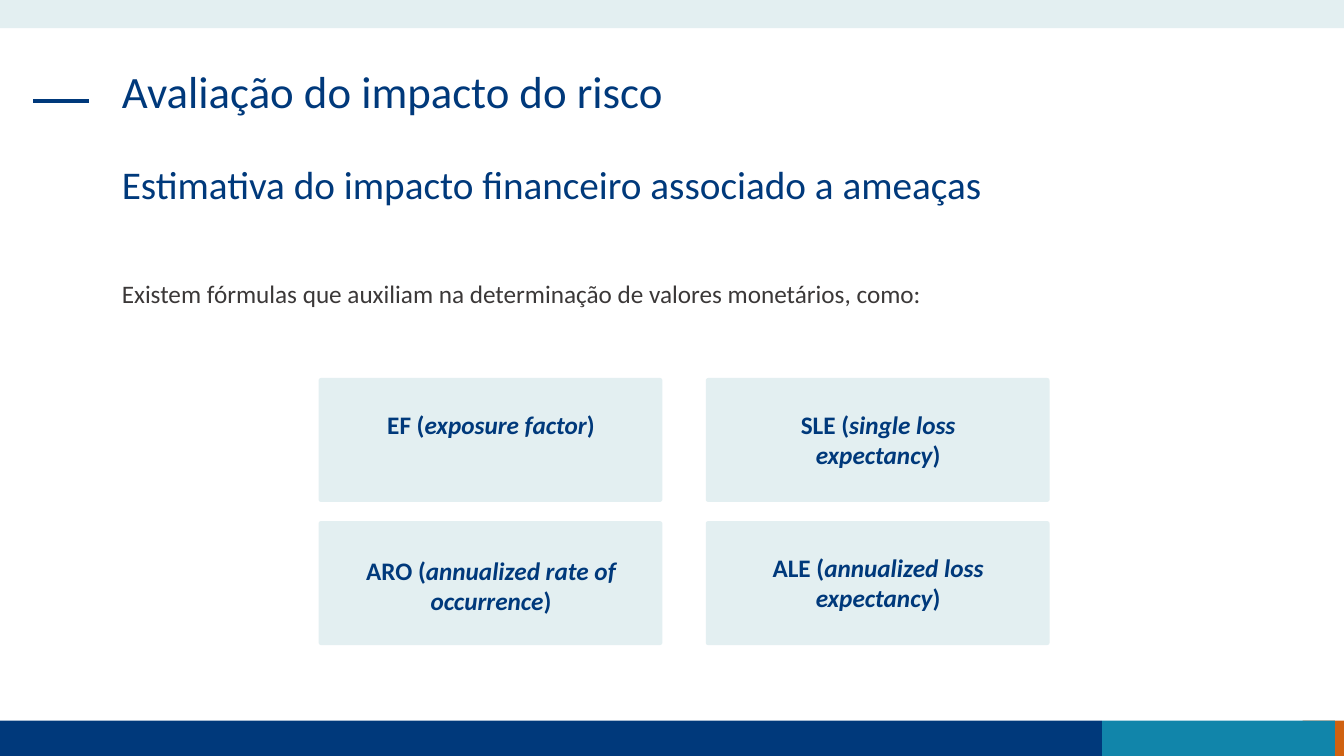
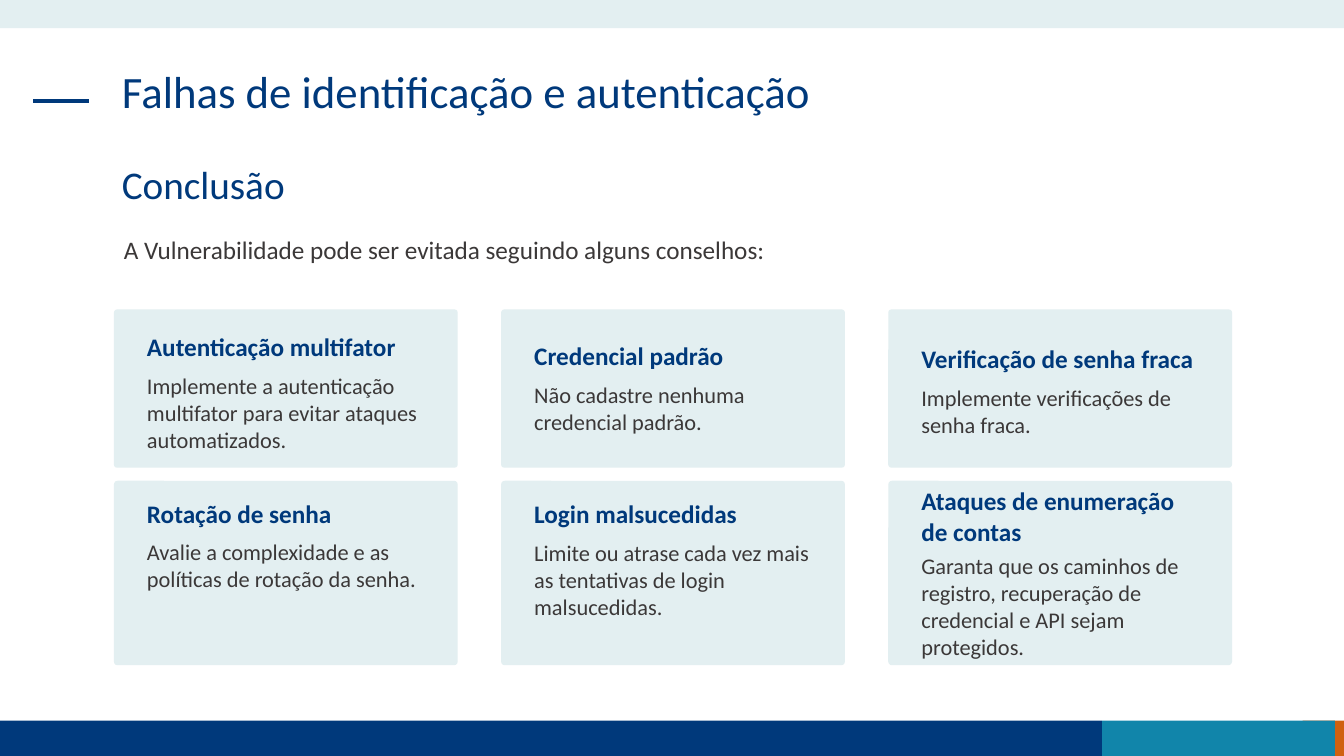
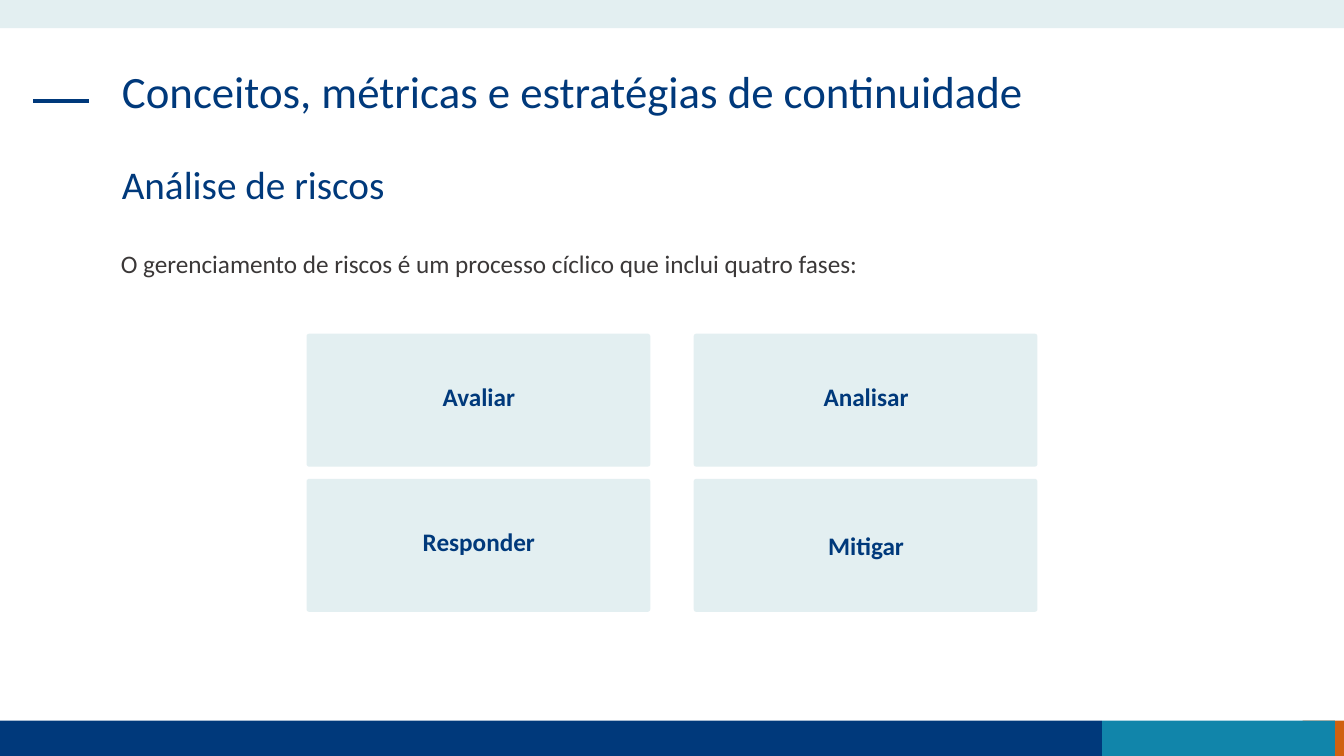
from lxml.etree import SubElement
from pptx import Presentation
from pptx.dml.color import RGBColor
from pptx.enum.shapes import MSO_CONNECTOR, MSO_SHAPE
from pptx.enum.text import MSO_ANCHOR, MSO_AUTO_SIZE, PP_ALIGN
from pptx.oxml.ns import qn
from pptx.util import Inches, Pt

NAVY, TEAL, RUST, PALE, GREY = "00397B", "1185AA", "D06110", "E3EFF1", "3B3838"
FONT = "Calibri"
STEP, WIDE, PAD = 3.84, 3.41, 0.23


def color(code):
    return RGBColor.from_string(code)


class Deck:
    def __init__(self):
        self.deck = Presentation()
        self.deck.slide_width = Inches(13.33)
        self.deck.slide_height = Inches(7.5)
        self.layout = self.deck.slide_layouts[5]
        self.slide = None

    def start(self, title, topic):
        self.slide = self.deck.slides.add_slide(self.layout)
        if len(self.deck.slides) == 1:
            self.frame()
        head = self.slide.shapes.title
        head.left, head.top = Inches(1.11), Inches(0.64)
        head.width, head.height = Inches(11.1), Inches(0.94)
        self.fill(head, [(title, False)], 32, NAVY, space=0.9)
        self.text(1.11, 1.59, 11.1, 0.94, topic, 28, NAVY, space=0.9, grow=False)

    def frame(self):
        tree = self.layout.shapes.element
        for mark in list(self.layout.placeholders):
            if mark.placeholder_format.idx:
                tree.remove(mark.element)
        bands = [
            (12.92, 7.15, 0.41, 0.35, RUST),
            (0, 7.15, 10.93, 0.35, NAVY),
            (10.93, 7.15, 2.31, 0.35, TEAL),
            (0, 0, 13.33, 0.28, PALE),
        ]
        parts = [self.box(*band) for band in bands]
        parts.append(self.line(0.33, 1, 0.88, 1))
        for part in parts:
            tree.append(part.element)

    def box(self, x, y, w, h, ink, kind=MSO_SHAPE.RECTANGLE):
        shape = self.slide.shapes.add_shape(kind, Inches(x), Inches(y), Inches(w), Inches(h))
        shape.shadow.inherit = False
        shape.fill.solid()
        shape.fill.fore_color.rgb = color(ink)
        shape.line.fill.background()
        return shape

    def line(self, x1, y1, x2, y2):
        rule = self.slide.shapes.add_connector(
            MSO_CONNECTOR.STRAIGHT, Inches(x1), Inches(y1), Inches(x2), Inches(y2))
        rule.line.color.rgb = color(NAVY)
        rule.line.width = Pt(3)
        SubElement(rule.element.spPr, qn("a:effectLst"))
        return rule

    def fill(self, shape, runs, size, ink, bold=False, align=PP_ALIGN.LEFT, space=None, grow=False):
        frame = shape.text_frame
        frame.word_wrap = True
        frame.auto_size = MSO_AUTO_SIZE.SHAPE_TO_FIT_TEXT if grow else MSO_AUTO_SIZE.NONE
        frame.vertical_anchor = MSO_ANCHOR.TOP
        para = frame.paragraphs[0]
        para.alignment = align
        para.line_spacing = space
        for words, slant in runs:
            run = para.add_run()
            run.text = words
            font = run.font
            font.name, font.size = FONT, Pt(size)
            font.bold, font.italic = bold, slant
            font.color.rgb = color(ink)

    def text(self, x, y, w, h, words, size, ink, grow=True, **style):
        shape = self.slide.shapes.add_textbox(Inches(x), Inches(y), Inches(w), Inches(h))
        runs = [(words, False)] if isinstance(words, str) else words
        self.fill(shape, runs, size, ink, grow=grow, **style)

    def intro(self, x, y, words):
        self.text(x, y, 11.1, 0.4, words, 18, GREY)

    def card(self, x, y, h, drop, head, rows=1, align=PP_ALIGN.CENTER):
        shape = self.box(x, y, WIDE, h, PALE, MSO_SHAPE.ROUNDED_RECTANGLE)
        shape.adjustments[0] = 0.02
        self.text(x + PAD, y + drop, 2.96, 0.1 + 0.3 * rows, head, 18, NAVY, bold=True, align=align)

    def note(self, x, y, words, rows):
        self.text(x + PAD, y, 2.96, 0.1 + 0.27 * rows, words, 16, GREY)


def main():
    deck = Deck()

    deck.start("Avaliação do impacto do risco",
               "Estimativa do impacto financeiro associado a ameaças")
    deck.intro(1.11, 2.71, "Existem fórmulas que auxiliam na determinação de valores monetários, como:")
    terms = [
        ("EF", "exposure factor", 0.26, 1),
        ("SLE", "single loss expectancy", 0.26, 2),
        ("ARO", "annualized rate of occurrence", 0.29, 2),
        ("ALE", "annualized loss expectancy", 0.26, 2),
    ]
    for i, (short, full, drop, rows) in enumerate(terms):
        row, col = divmod(i, 2)
        runs = [(short + " (", False), (full, True), (")", False)]
        deck.card(3.16 + STEP * col, 3.75 + 1.42 * row, 1.23, drop, runs, rows)

    deck.start("Falhas de identificação e autenticação", "Conclusão")
    deck.intro(1.13, 2.28, "A Vulnerabilidade pode ser evitada seguindo alguns conselhos:")
    tips = [
        ("Autenticação multifator", 0.17, 1,
         "Implemente a autenticação multifator para evitar ataques automatizados.", 0.57, 3),
        ("Credencial padrão", 0.26, 1,
         "Não cadastre nenhuma credencial padrão.", 0.66, 2),
        ("Verificação de senha fraca", 0.29, 1,
         "Implemente verificações de senha fraca.", 0.69, 2),
        ("Rotação de senha", 0.12, 1,
         "Avalie a complexidade e as políticas de rotação da senha.", 0.52, 2),
        ("Login malsucedidas", 0.12, 1,
         "Limite ou atrase cada vez mais as tentativas de login malsucedidas.", 0.53, 3),
        ("Ataques de enumeração de contas", 0, 2,
         "Garanta que os caminhos de registro, recuperação de credencial e API sejam protegidos.", 0.66, 4),
    ]
    for i, (head, drop, rows, words, fall, lines) in enumerate(tips):
        row, col = divmod(i, 3)
        x, y = 1.13 + STEP * col, 3.07 + 1.7 * row
        deck.card(x, y, (1.57, 1.83)[row], drop, head, rows, PP_ALIGN.LEFT)
        deck.note(x, y + fall, words, lines)

    deck.start("Conceitos, métricas e estratégias de continuidade", "Análise de riscos")
    deck.intro(1.1, 2.41, "O gerenciamento de riscos é um processo cíclico que inclui quatro fases:")
    steps = [("Avaliar", 0.42), ("Analisar", 0.42), ("Responder", 0.42), ("Mitigar", 0.46)]
    for i, (head, drop) in enumerate(steps):
        row, col = divmod(i, 2)
        deck.card(3.04 + STEP * col, 3.31 + 1.44 * row, 1.32, drop, head)

    deck.deck.save("out.pptx")


if __name__ == "__main__":
    main()
